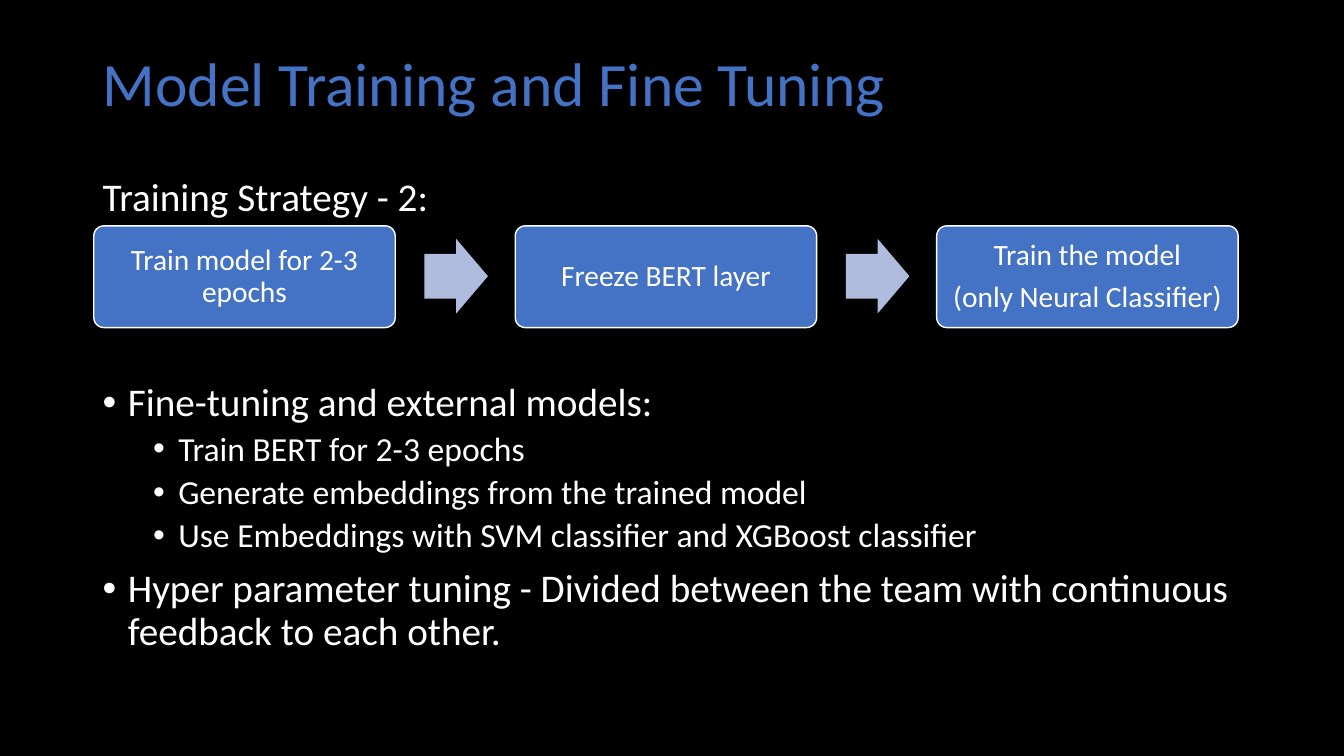
from lxml import etree
from pptx import Presentation
from pptx.dml.color import RGBColor
from pptx.enum import shapes, text
from pptx.oxml import ns
from pptx.util import Inches, Pt

BLACK = RGBColor(0x00, 0x00, 0x00)
WHITE = RGBColor(0xFF, 0xFF, 0xFF)
BLUE = RGBColor(0x44, 0x72, 0xC4)
PALE_BLUE = RGBColor(0xB0, 0xBC, 0xDE)


def write_paragraph(frame, index, content, size, color, formats):
    paragraph = frame.paragraphs[0] if index == 0 else frame.add_paragraph()
    for name, value in formats.items():
        setattr(paragraph, name, value)
    run = paragraph.add_run()
    run.text = content
    run.font.name = "Calibri"
    run.font.size = Pt(size)
    run.font.color.rgb = color
    return paragraph


def add_text_frame(left, top, width, height, formats):
    box = slide.shapes.add_textbox(Inches(left), Inches(top), Inches(width), Inches(height))
    for name, value in formats.items():
        setattr(box.text_frame, name, value)
    return box.text_frame


presentation = Presentation()
presentation.slide_width = Inches(13.33)
presentation.slide_height = Inches(7.5)
slide = presentation.slides.add_slide(presentation.slide_layouts[6])
slide.background.fill.solid()
slide.background.fill.fore_color.rgb = BLACK

title = add_text_frame(0.92, 0.23, 11.5, 1.25,
                       {"word_wrap": True, "vertical_anchor": text.MSO_ANCHOR.MIDDLE})
write_paragraph(title, 0, "Model Training and Fine Tuning", 44, BLUE, {"line_spacing": 0.9})

BULLETS = [
    (0, "Fine-tuning and external models:"),
    (1, "Train BERT for 2-3 epochs"),
    (1, "Generate embeddings from the trained model"),
    (1, "Use Embeddings with SVM classifier and XGBoost classifier"),
    (0, "Hyper parameter tuning - Divided between the team with continuous feedback to each other."),
]
LEVELS = [(28, 10, 0.25), (24, 5, 0.75)]
body = add_text_frame(0.92, 3.75, 11.5, 3.52, {"word_wrap": True})
for index, (level, content) in enumerate(BULLETS):
    size, space_before, indent = LEVELS[level]
    paragraph = write_paragraph(body, index, content, size, WHITE, {
        "level": level,
        "line_spacing": 0.9,
        "space_before": Pt(space_before if index else 0),
    })
    properties = paragraph._p.get_or_add_pPr()
    properties.set("marL", str(Inches(indent)))
    properties.set("indent", str(Inches(-0.25)))
    etree.SubElement(properties, ns.qn("a:buFont"), typeface="Arial")
    etree.SubElement(properties, ns.qn("a:buChar"), char="•")

strategy = add_text_frame(0.92, 1.66, 3.46, 0.57, {"word_wrap": False})
write_paragraph(strategy, 0, "Training Strategy - 2:", 28, WHITE, {})

STEPS = [
    ["Train model for 2-3 epochs"],
    ["Freeze BERT layer"],
    ["Train the model", "(only Neural Classifier) "],
]
STEP_LEFT, STEP_PITCH = 0.93, 4.18
for number, lines in enumerate(STEPS):
    left = STEP_LEFT + number * STEP_PITCH
    step = slide.shapes.add_shape(shapes.MSO_SHAPE.ROUNDED_RECTANGLE,
                                  Inches(left), Inches(2.24), Inches(2.99), Inches(1.01))
    step.shadow.inherit = False
    step.adjustments[0] = 0.1
    step.fill.solid()
    step.fill.fore_color.rgb = BLUE
    step.line.color.rgb = WHITE
    step.line.width = Pt(1)
    frame = step.text_frame
    frame.word_wrap = True
    frame.vertical_anchor = text.MSO_ANCHOR.MIDDLE
    for side in ("left", "top", "right", "bottom"):
        setattr(frame, f"margin_{side}", Inches(0.12))
    for index, content in enumerate(lines):
        write_paragraph(frame, index, content, 21, WHITE, {
            "alignment": text.PP_ALIGN.CENTER,
            "line_spacing": 0.9,
            "space_after": Pt(7.35),
        })

    if number < len(STEPS) - 1:
        arrow = slide.shapes.add_shape(shapes.MSO_SHAPE.RIGHT_ARROW,
                                       Inches(left + 3.28), Inches(2.37), Inches(0.63), Inches(0.74))
        arrow.shadow.inherit = False
        arrow.adjustments[0] = 0.6
        arrow.adjustments[1] = 0.5
        arrow.fill.solid()
        arrow.fill.fore_color.rgb = PALE_BLUE
        arrow.line.fill.background()

presentation.save("out.pptx")
